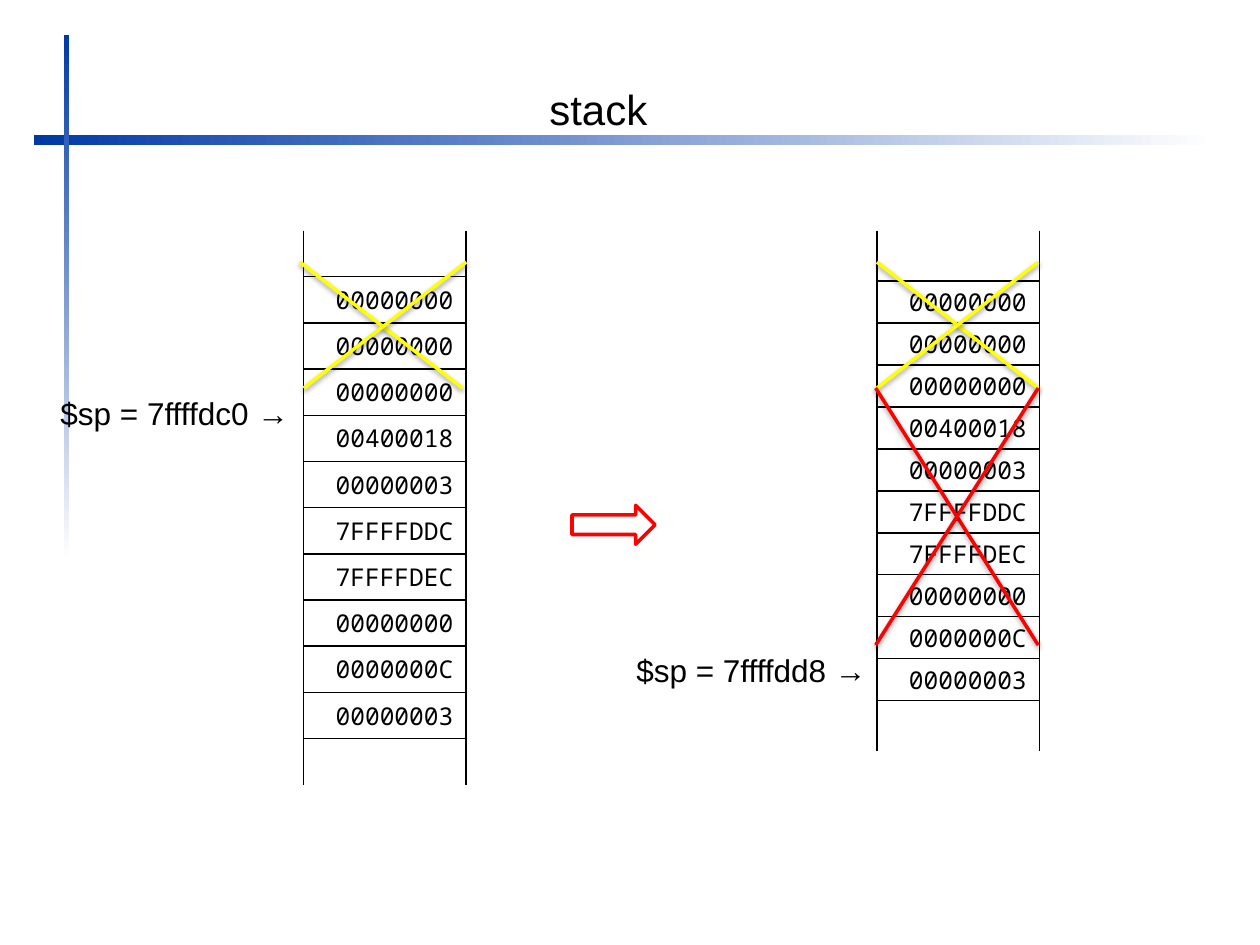
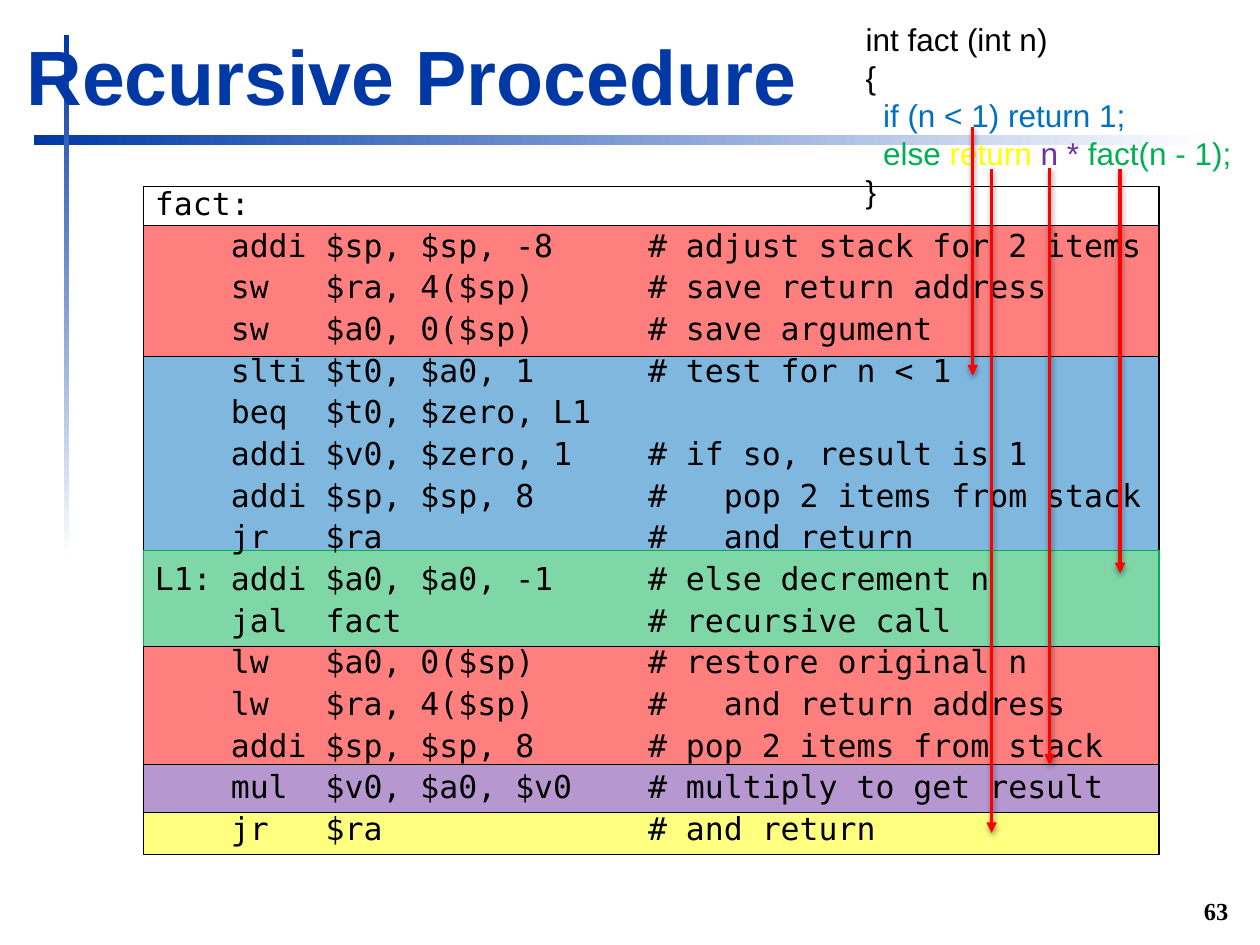
import pptx
import pptx.dml.color
import pptx.enum.shapes
import pptx.enum.text
import pptx.oxml
import pptx.oxml.ns
import pptx.util

Inches, Pt = pptx.util.Inches, pptx.util.Pt
RGBColor = pptx.dml.color.RGBColor
MSO_SHAPE = pptx.enum.shapes.MSO_SHAPE
PP_ALIGN = pptx.enum.text.PP_ALIGN
MSO_ANCHOR = pptx.enum.text.MSO_ANCHOR
MSO_AUTO_SIZE = pptx.enum.text.MSO_AUTO_SIZE

# Colours
BLACK = RGBColor(0x00, 0x00, 0x00)
WHITE = RGBColor(0xFF, 0xFF, 0xFF)
NAVY = RGBColor(0x00, 0x39, 0xA6)
RED = RGBColor(0xFF, 0x00, 0x00)
BLUE = RGBColor(0x00, 0x70, 0xC0)
GREEN = RGBColor(0x00, 0xB0, 0x50)
PURPLE = RGBColor(0x70, 0x30, 0xA0)
YELLOW = RGBColor(0xFF, 0xFF, 0x00)

# Fonts
SANS, SERIF = "Arial", "Times New Roman"
CODE_FONT, STACK_FONT = "DejaVu Sans Mono", "Noto Sans Mono"

# Stack contents
STACK_WORDS = ["00000000", "00000000", "00000000", "00400018", "00000003",
               "7FFFFDDC", "7FFFFDEC", "00000000", "0000000C", "00000003"]
STACK_TOP, STACK_WIDTH = 1.83, 1.29

# Procedure in C, as coloured runs per line
C_LINES = [
    [("int fact (int n)", BLACK)],
    [("{", BLACK)],
    [("  if (n < 1) return 1;", BLUE)],
    [("  else ", GREEN), ("return ", YELLOW), ("n * ", PURPLE), ("fact(n - 1);", GREEN)],
    [("}", BLACK)],
]

# Procedure in assembly
ASM_CODE = """\
fact:
    addi $sp, $sp, -8     # adjust stack for 2 items
    sw   $ra, 4($sp)      # save return address
    sw   $a0, 0($sp)      # save argument
    slti $t0, $a0, 1      # test for n < 1
    beq  $t0, $zero, L1
    addi $v0, $zero, 1    # if so, result is 1
    addi $sp, $sp, 8      #   pop 2 items from stack
    jr   $ra              #   and return
L1: addi $a0, $a0, -1     # else decrement n
    jal  fact             # recursive call
    lw   $a0, 0($sp)      # restore original n
    lw   $ra, 4($sp)      #   and return address
    addi $sp, $sp, 8      # pop 2 items from stack
    mul  $v0, $a0, $v0    # multiply to get result
    jr   $ra              # and return"""

# Code bands from top to bottom: height, fill, line colour
CODE_BANDS = [(0.31, None, BLACK), (1.04, RED, BLACK), (1.54, BLUE, BLACK),
              (0.76, GREEN, GREEN), (0.94, RED, BLACK), (0.38, PURPLE, BLACK),
              (0.33, YELLOW, BLACK)]

# Arrows from the C code to the assembly: x, start y, end y
CODE_ARROWS = [(7.72, 1.01, 2.98), (8.89, 1.34, 4.55),
               (8.33, 1.33, 6.07), (7.87, 1.34, 6.61)]


def xml(tag, attrs="", inner=""):
    ns = pptx.oxml.ns.nsdecls("a")
    return pptx.oxml.parse_xml(f"<a:{tag} {ns} {attrs}>{inner}</a:{tag}>")


def place(sp, box):
    sp.left, sp.top, sp.width, sp.height = (Inches(v) for v in box)


def set_insets(tf, inset=0.05):
    tf.margin_left = tf.margin_right = tf.margin_top = tf.margin_bottom = Inches(inset)


def add_run(p, text, font, size, color=BLACK, bold=False):
    r = p.add_run()
    r.text = text
    r.font.name, r.font.size, r.font.bold = font, Pt(size), bold
    r.font.color.rgb = color


def add_shape(slide, kind, box, fill=None, line=None, width=0.75, alpha=None):
    sp = slide.shapes.add_shape(kind, *(Inches(v) for v in box))
    sp.shadow.inherit = False
    if fill is None:
        sp.fill.background()
    else:
        sp.fill.solid()
        sp.fill.fore_color.rgb = fill
        if alpha:
            clr = sp.element.spPr.find(".//" + pptx.oxml.ns.qn("a:srgbClr"))
            clr.append(xml("alpha", f'val="{alpha * 1000}"'))
    if line is None:
        sp.line.fill.background()
    else:
        sp.line.color.rgb, sp.line.width = line, Pt(width)
    return sp


def add_master_bands(prs, slide):
    """Build the two gradient bars and hand them to the slide master."""
    for box, angle in (((0.51, 0.28, 0.04, 4.17), 90), ((0.27, 1.07, 9.37, 0.08), 180)):
        sp = add_shape(slide, MSO_SHAPE.RECTANGLE, box)
        sp.fill.gradient()
        sp.fill.gradient_angle = angle
        for stop, position, color in zip(sp.fill.gradient_stops, (0, 1), (WHITE, NAVY)):
            stop.position, stop.color.rgb = position, color
        prs.slide_master.shapes.element.insert(2, sp.element)


def set_title(slide, text, box, size, color=BLACK, bold=False, wrap=True):
    sp = slide.shapes.title
    place(sp, box)
    tf = sp.text_frame
    set_insets(tf)
    tf.word_wrap, tf.auto_size = wrap, MSO_AUTO_SIZE.NONE
    tf.vertical_anchor = MSO_ANCHOR.BOTTOM
    p = tf.paragraphs[0]
    p.alignment = PP_ALIGN.LEFT
    add_run(p, text, SANS, size, color, bold)
    slide.shapes.element.append(sp.element)


def add_label(slide, box):
    """Add an unwrapped text box and return its first paragraph."""
    tf = slide.shapes.add_textbox(*(Inches(v) for v in box)).text_frame
    set_insets(tf)
    tf.word_wrap, tf.auto_size = False, MSO_AUTO_SIZE.SHAPE_TO_FIT_TEXT
    return tf.paragraphs[0]


def add_line(slide, start, end, color, arrow=False):
    sp = slide.shapes.add_connector(pptx.enum.shapes.MSO_CONNECTOR.STRAIGHT,
                                    *(Inches(v) for v in (*start, *end)))
    sp.line.color.rgb, sp.line.width = color, Pt(2)
    if arrow:
        sp.line._get_or_add_ln().append(xml("tailEnd", 'type="triangle"'))
    shadow = ('<a:outerShdw blurRad="38100" dist="20320" dir="5400000" rotWithShape="0">'
              '<a:srgbClr val="000000"><a:alpha val="38000"/></a:srgbClr></a:outerShdw>')
    sp.element.spPr.append(xml("effectLst", inner=shadow))


def add_cross(slide, left, top, right, bottom, color, shift=0):
    add_line(slide, (left - shift, top), (right - shift, bottom), color)
    add_line(slide, (right, top), (left, bottom), color)


def set_borders(cell, edges):
    tcPr = cell._tc.get_or_add_tcPr()
    solid = '<a:solidFill><a:srgbClr val="000000"/></a:solidFill>'
    for i, edge in enumerate("LRTB"):
        fill = solid if edge in edges else "<a:noFill/>"
        tcPr.insert(i, xml(f"ln{edge}", 'w="12700"', fill))


def add_stack(slide, left, end_height, word_height):
    """Draw a stack of words that is open at its top and bottom."""
    words = ["", *STACK_WORDS, ""]
    heights = [end_height, *[word_height] * len(STACK_WORDS), end_height]
    table = slide.shapes.add_table(len(words), 1, Inches(left), Inches(STACK_TOP),
                                   Inches(STACK_WIDTH), Inches(sum(heights))).table
    table.first_row = table.horz_banding = False
    for i, (word, height) in enumerate(zip(words, heights)):
        table.rows[i].height = Inches(height)
        cell = table.cell(i, 0)
        cell.margin_top = cell.margin_bottom = 0
        cell.vertical_anchor = MSO_ANCHOR.MIDDLE
        cell.fill.background()
        edges = "LRB" if i == 0 else "LRT" if i == len(words) - 1 else "LRTB"
        set_borders(cell, edges)
        if word:
            p = cell.text_frame.paragraphs[0]
            p.alignment = PP_ALIGN.RIGHT
            add_run(p, word, STACK_FONT, 14)


def set_assembly(slide):
    sp = slide.placeholders[1]
    place(sp, (0.8, 0.85, 9.05, 6.38))
    tf = sp.text_frame
    set_insets(tf)
    tf.margin_top = Inches(0.58)
    tf.auto_size = MSO_AUTO_SIZE.NONE
    p = tf.paragraphs[0]
    pPr = p._p.get_or_add_pPr()
    pPr.set("marL", str(Inches(0.38)))
    pPr.set("indent", "0")
    pPr.append(xml("buNone"))
    p.space_before, p.line_spacing = Pt(0), Pt(23.8)
    for i, line in enumerate(ASM_CODE.split("\n")):
        if i:
            p.add_line_break()
        add_run(p, line, CODE_FONT, 18)
    slide.shapes.element.append(sp.element)


def build_stack_slide(slide):
    set_title(slide, "stack", (4.31, 0.61, 0.89, 0.5), 24, wrap=False)
    add_stack(slide, 2.41, 4.4 / 12, 4.4 / 12)
    add_stack(slide, 6.96, 0.4, 1 / 3)
    add_shape(slide, MSO_SHAPE.RIGHT_ARROW, (4.54, 4.01, 0.66, 0.31), line=RED, width=2)

    # Stack pointers
    for text, box in (("$sp = 7ffffdc0 →", (0.43, 3.08, 1.94, 0.4)),
                      ("$sp = 7ffffdd8 →", (5, 5.12, 1.95, 0.4))):
        add_run(add_label(slide, box), text, SANS, 18)

    # Words popped from the stacks
    add_cross(slide, 6.96, 2.08, 8.24, 3.08, YELLOW)
    add_cross(slide, 6.95, 3.08, 8.24, 5.12, RED)
    add_cross(slide, 2.41, 2.08, 3.7, 3.08, YELLOW, shift=0.03)


def build_procedure_slide(slide):
    # Page number
    p = add_label(slide, (9.47, 7.06, 0.33, 0.32))
    p.alignment = PP_ALIGN.RIGHT
    add_run(p, "63", SERIF, 14, bold=True)

    # Bands behind the assembly code
    top = 1.48
    for height, fill, line in CODE_BANDS:
        add_shape(slide, MSO_SHAPE.RECTANGLE, (1.14, top, 8.06, height), fill, line, alpha=50)
        top += height

    set_title(slide, "Recursive Procedure", (0.16, 0.18, 9.03, 0.83), 44, NAVY, bold=True)

    # C code
    p = add_label(slide, (6.82, 0.11, 3.03, 1.92))
    p.line_spacing = Pt(21.7)
    for i, line in enumerate(C_LINES):
        if i:
            p.add_line_break()
        for text, color in line:
            add_run(p, text, SANS, 18, color)

    set_assembly(slide)
    for x, start, end in CODE_ARROWS:
        add_line(slide, (x, start), (x, end), RED, arrow=True)


def main():
    prs = pptx.Presentation()
    prs.slide_width, prs.slide_height = Inches(10), Inches(7.5)
    stack_slide = prs.slides.add_slide(prs.slide_layouts[5])
    add_master_bands(prs, stack_slide)
    build_stack_slide(stack_slide)
    build_procedure_slide(prs.slides.add_slide(prs.slide_layouts[1]))
    prs.save("out.pptx")


if __name__ == "__main__":
    main()
